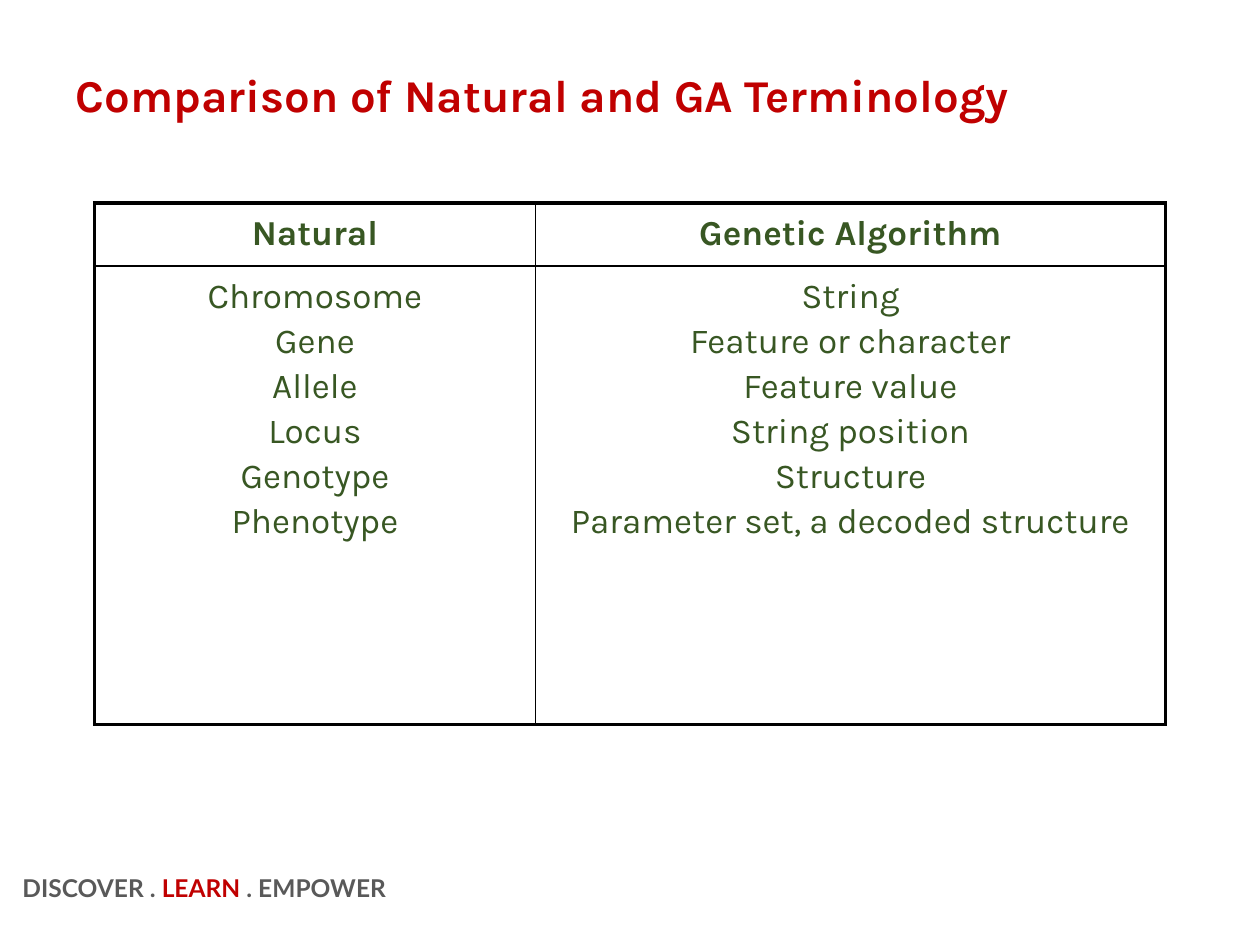
import dataclasses

import lxml.etree
import pptx
import pptx.dml.color
import pptx.enum.text
import pptx.oxml.ns
import pptx.util

SLIDE_WIDTH = pptx.util.Inches(10)
SLIDE_HEIGHT = pptx.util.Inches(7.5)
COLORS = {"red": "C00000", "green": "385723", "grey": "595959", "rule": "000000"}
OUTER_RULE = 2.25
INNER_RULE = 1


@dataclasses.dataclass(frozen=True)
class Style:
    font: str
    size: float
    color: str
    bold: bool = False


@dataclasses.dataclass(frozen=True)
class Area:
    left: float
    top: float
    width: float
    height: float

    def box(self) -> tuple[int, int, int, int]:
        return (
            round(self.left * SLIDE_WIDTH),
            round(self.top * SLIDE_HEIGHT),
            round(self.width * SLIDE_WIDTH),
            round(self.height * SLIDE_HEIGHT),
        )


@dataclasses.dataclass(frozen=True)
class Term:
    natural: str
    algorithm: str


HEADING = Term("Natural", "Genetic Algorithm")
TERMS = [
    Term("Chromosome", "String"),
    Term("Gene", "Feature or character"),
    Term("Allele", "Feature value"),
    Term("Locus", "String position"),
    Term("Genotype", "Structure"),
    Term("Phenotype", "Parameter set, a decoded structure"),
]
COLUMN_SHARES = [0.35, 0.5]
ROW_INCHES = [0.5, 3.64]

TITLE_STYLE = Style("Karla", 26, "red", True)
HEADING_STYLE = Style("Karla", 20, "green", True)
TERM_STYLE = Style("Karla", 20, "green")
MOTTO_STYLE = Style("Lato", 14, "grey", True)
MOTTO_ACCENT = dataclasses.replace(MOTTO_STYLE, color="red")


def add_run(paragraph, text: str, style: Style) -> None:
    run = paragraph.add_run()
    run.text = text
    run.font.name = style.font
    run.font.size = pptx.util.Pt(style.size)
    run.font.bold = style.bold
    run.font.color.rgb = pptx.dml.color.RGBColor.from_string(COLORS[style.color])


def set_borders(cell, widths: dict[str, float]) -> None:
    properties = cell._tc.get_or_add_tcPr()
    for index, side in enumerate("LRTB"):
        line = lxml.etree.Element(
            pptx.oxml.ns.qn(f"a:ln{side}"), w=str(pptx.util.Pt(widths[side]))
        )
        fill = lxml.etree.SubElement(line, pptx.oxml.ns.qn("a:solidFill"))
        lxml.etree.SubElement(fill, pptx.oxml.ns.qn("a:srgbClr"), val=COLORS["rule"])
        properties.insert(index, line)


def fill_cell(cell, lines: list[str], style: Style) -> None:
    cell.fill.background()
    frame = cell.text_frame
    for index, text in enumerate(lines):
        paragraph = frame.add_paragraph() if index else frame.paragraphs[0]
        paragraph.alignment = pptx.enum.text.PP_ALIGN.CENTER
        paragraph.line_spacing = 1.1
        add_run(paragraph, text, style)


def add_title(slide, text: str, area: Area) -> None:
    title = slide.shapes.title
    title.left, title.top, title.width, title.height = area.box()
    frame = title.text_frame
    frame.auto_size = pptx.enum.text.MSO_AUTO_SIZE.NONE
    frame.vertical_anchor = pptx.enum.text.MSO_ANCHOR.MIDDLE
    frame.paragraphs[0].alignment = pptx.enum.text.PP_ALIGN.LEFT
    add_run(frame.paragraphs[0], text, TITLE_STYLE)


def add_comparison(slide, area: Area) -> None:
    rows, columns = len(ROW_INCHES), len(COLUMN_SHARES)
    comparison = slide.shapes.add_table(rows, columns, *area.box()).table
    comparison.first_row = False
    comparison.horz_banding = False
    for column, share in zip(comparison.columns, COLUMN_SHARES):
        column.width = round(share * SLIDE_WIDTH)
    for row, height in zip(comparison.rows, ROW_INCHES):
        row.height = pptx.util.Inches(height)

    for column, field in enumerate(("natural", "algorithm")):
        fill_cell(comparison.cell(0, column), [getattr(HEADING, field)], HEADING_STYLE)
        terms = [getattr(term, field) for term in TERMS]
        fill_cell(comparison.cell(1, column), terms, TERM_STYLE)

    for row in range(rows):
        for column in range(columns):
            on_edge = {
                "L": column == 0,
                "R": column == columns - 1,
                "T": row == 0,
                "B": row == rows - 1,
            }
            set_borders(
                comparison.cell(row, column),
                {side: OUTER_RULE if edge else INNER_RULE for side, edge in on_edge.items()},
            )


def add_motto(slide, area: Area) -> None:
    frame = slide.shapes.add_textbox(*area.box()).text_frame
    frame.word_wrap = True
    motto = frame.paragraphs[0]
    add_run(motto, "DISCOVER . ", MOTTO_STYLE)
    add_run(motto, "LEARN", MOTTO_ACCENT)
    add_run(motto, " . EMPOWER", MOTTO_STYLE)


def main() -> None:
    deck = pptx.Presentation()
    deck.slide_width, deck.slide_height = SLIDE_WIDTH, SLIDE_HEIGHT
    slide = deck.slides.add_slide(deck.slide_layouts.get_by_name("Title Only"))
    add_title(
        slide, "Comparison of Natural and GA Terminology", Area(0.05, 0.5 / 7.5, 0.9, 0.5 / 7.5)
    )
    add_comparison(
        slide, Area(0.075, 1.61 / 7.5, sum(COLUMN_SHARES), sum(ROW_INCHES) / 7.5)
    )
    add_motto(slide, Area(0.008, 6.88 / 7.5, 0.42, 0.57 / 7.5))
    deck.save("out.pptx")


if __name__ == "__main__":
    main()
